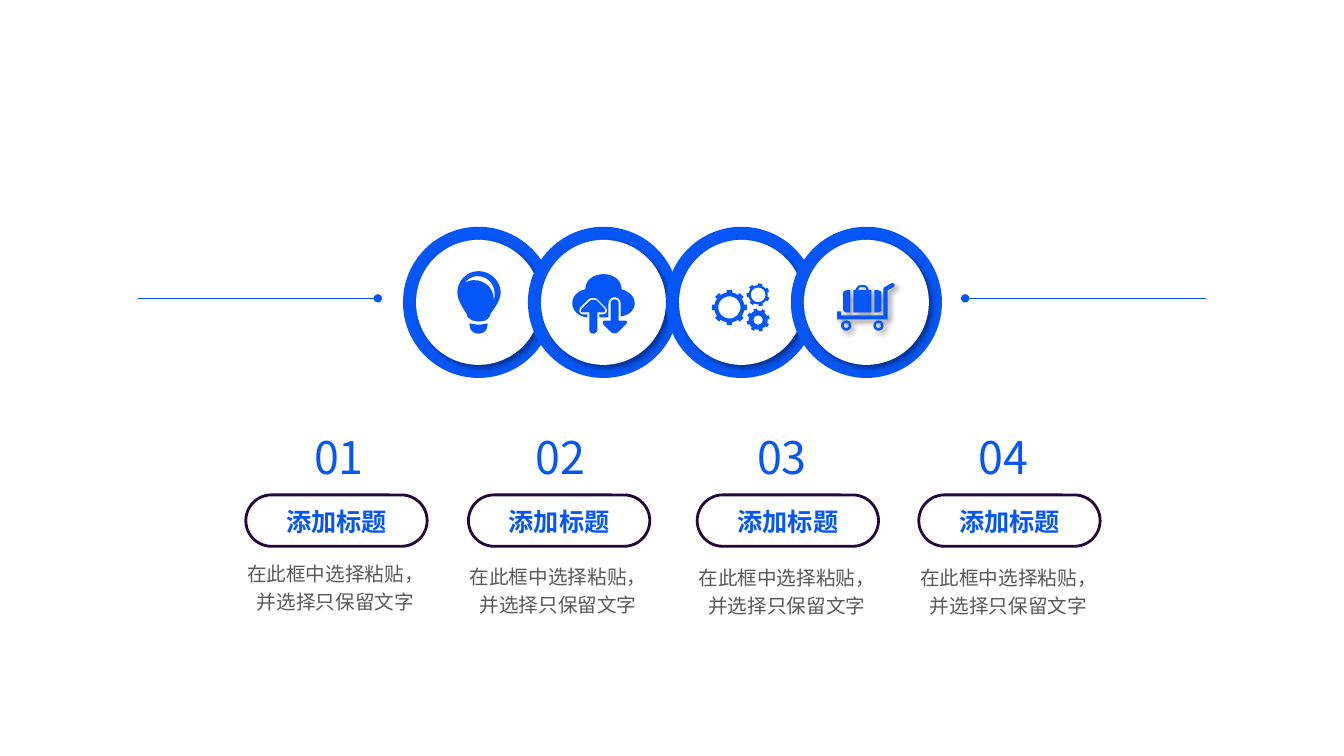
import math

import lxml.etree
import pptx
import pptx.dml.color
import pptx.enum.lang
import pptx.enum.shapes
import pptx.enum.text
import pptx.oxml.ns
import pptx.util

BLUE = pptx.dml.color.RGBColor(0x06, 0x56, 0xF7)
WHITE = pptx.dml.color.RGBColor(0xFF, 0xFF, 0xFF)
PURPLE = pptx.dml.color.RGBColor(0x20, 0x08, 0x38)
GRAY = pptx.dml.color.RGBColor(0x59, 0x59, 0x59)
FONT = "Noto Sans CJK SC"
CELL = pptx.util.Inches(0.1)
COLUMNS, ROWS = 133.4, 75
SHAPE = pptx.enum.shapes.MSO_SHAPE


def cells(count):
    return pptx.util.Emu(round(count * CELL))


def child(parent, tag, **attributes):
    return lxml.etree.SubElement(parent, pptx.oxml.ns.qn(tag), attributes)


def trace(*steps, samples=8):
    points = [steps[0]]
    for step in steps[1:]:
        if len(step) == 2:
            points.append(step)
            continue
        x0, y0 = points[-1]
        x1, y1, x2, y2, x3, y3 = step
        for index in range(1, samples + 1):
            t = index / samples
            a, b, c, d = (1 - t) ** 3, 3 * t * (1 - t) ** 2, 3 * t * t * (1 - t), t ** 3
            points.append((a * x0 + b * x1 + c * x2 + d * x3,
                           a * y0 + b * y1 + c * y2 + d * y3))
    return points


def polar(center, radius, degrees):
    angle = math.radians(degrees)
    return center[0] + radius * math.cos(angle), center[1] + radius * math.sin(angle)


def circle(center, radius):
    return [polar(center, radius, degrees) for degrees in range(0, 360, 10)]


def gear(center, outer, root, hole, teeth, phase):
    pitch = 360 / teeth
    profile = ((root, -0.24), (outer, -0.2), (outer, 0.2), (root, 0.24), (root, 0.5))
    rim = [polar(center, radius, phase + pitch * (tooth + shift))
           for tooth in range(teeth) for radius, shift in profile]
    return [rim, circle(center, hole)]


class Deck:
    def __init__(self):
        self.presentation = pptx.Presentation()
        self.presentation.slide_width = cells(COLUMNS)
        self.presentation.slide_height = cells(ROWS)
        self.slide = self.presentation.slides.add_slide(self.presentation.slide_layouts[6])

    def group(self):
        return self.slide.shapes.add_group_shape().shapes

    def paint(self, shape, color, shadow=False):
        shape.fill.solid()
        shape.fill.fore_color.rgb = color
        shape.line.fill.background()
        shape.shadow.inherit = False
        if shadow:
            effects = shape._element.spPr.find(pptx.oxml.ns.qn("a:effectLst"))
            outer = child(effects, "a:outerShdw", blurRad=str(pptx.util.Pt(4)),
                          dist=str(pptx.util.Pt(3)), dir="2700000", algn="tl", rotWithShape="0")
            child(child(outer, "a:srgbClr", val="000000"), "a:alpha", val="40000")

    def ring(self, left, top, size, border):
        members = self.group()
        for inset, color in ((0, BLUE), (border, WHITE)):
            side = cells(size - 2 * inset)
            disc = members.add_shape(SHAPE.OVAL, cells(left + inset), cells(top + inset), side, side)
            self.paint(disc, color, shadow=inset > 0)

    def outline(self, members, contours, shadow=False):
        builder = None
        for contour in contours:
            (x, y), *rest = [(cells(x), cells(y)) for x, y in contour]
            if builder is None:
                builder = members.build_freeform(x, y, scale=1.0)
            else:
                builder.move_to(x, y)
            builder.add_line_segments(rest, close=True)
        self.paint(builder.convert_to_shape(), BLUE, shadow)

    def icon(self, *pieces):
        members = self.group()
        for contours in pieces:
            self.outline(members, contours)

    def pointer(self, start, end, row):
        line = self.slide.shapes.add_connector(
            pptx.enum.shapes.MSO_CONNECTOR.STRAIGHT, cells(start), cells(row), cells(end), cells(row))
        line.line.color.rgb = BLUE
        line.line.width = pptx.util.Pt(0.75)
        child(line.line._get_or_add_ln(), "a:tailEnd", type="oval")
        child(line._element.spPr, "a:effectLst")

    def pill(self, left, top, width, height):
        frame = self.slide.shapes.add_shape(
            SHAPE.ROUNDED_RECTANGLE, cells(left), cells(top), cells(width), cells(height))
        frame.adjustments[0] = 0.5
        frame.fill.background()
        frame.line.color.rgb = PURPLE
        frame.line.width = pptx.util.Pt(2)
        frame.shadow.inherit = False

    def text(self, content, left, top, width, height, size, color,
             bold=False, wrap=True, inset=True, spacing=None):
        box = self.slide.shapes.add_textbox(cells(left), cells(top), cells(width), cells(height))
        frame = box.text_frame
        frame.text = content
        frame.word_wrap = wrap
        frame.auto_size = pptx.enum.text.MSO_AUTO_SIZE.SHAPE_TO_FIT_TEXT
        if not inset:
            frame.margin_left = frame.margin_right = frame.margin_top = frame.margin_bottom = 0
        paragraph = frame.paragraphs[0]
        paragraph.alignment = pptx.enum.text.PP_ALIGN.CENTER
        paragraph.line_spacing = spacing
        font = paragraph.runs[0].font
        font.name, font.size, font.bold = FONT, pptx.util.Pt(size), bold
        font.color.rgb = color
        font.language_id = pptx.enum.lang.MSO_LANGUAGE_ID.SIMPLIFIED_CHINESE
        child(font._element, "a:ea", typeface=FONT)


def bulb():
    base = trace((46.8, 32.1), (47.2, 32.25, 47.8, 32.25, 48.2, 32.1), (48.4, 32.1),
                 (48.4, 32.7, 48.1, 33.1, 47.5, 33.1), (46.9, 33.1, 46.6, 32.7, 46.6, 32.1))
    glass = trace((47.5, 26.9), (48.7, 26.9, 49.7, 27.9, 49.7, 29), (49.7, 30.1, 48.6, 31, 48.6, 31.4),
                  (48.6, 31.5, 48.4, 31.6, 48.2, 31.8), (48, 31.8, 47.8, 31.9, 47.5, 31.9),
                  (47.4, 31.9, 47.1, 31.8, 46.9, 31.8), (46.6, 31.6, 46.4, 31.5, 46.4, 31.4),
                  (46.4, 31, 45.4, 30.1, 45.4, 29), (45.4, 27.9, 46.3, 26.9, 47.5, 26.9))
    gleam = trace((47.1, 27.8), (48.1, 27.8, 49, 28.6, 49, 29.6), (49, 29.8),
                  (49.1, 29.6, 49.1, 29.3, 49.1, 29.1), (49.1, 28.2, 48.4, 27.4, 47.4, 27.4),
                  (46.9, 27.4, 46.4, 27.7, 46.1, 28.1), (46.4, 27.9, 46.7, 27.8, 47.1, 27.8))
    return [base], [glass, gleam]


def cloud():
    upload = trace((59.3, 31), (59.3, 32.7), (59.3, 32.9, 59.1, 33.1, 58.9, 33.1),
                   (58.6, 33.1, 58.5, 32.9, 58.5, 32.7), (58.5, 31), (57.9, 31),
                   (57.6, 31, 57.6, 30.8, 57.8, 30.6), (58.6, 29.8),
                   (58.8, 29.7, 58.9, 29.7, 59.2, 29.8), (60, 30.6), (60.1, 30.8, 60.1, 31, 59.8, 31))
    download = [(119.9 - x, 62.8 - y) for x, y in upload]
    body = trace((61.7, 28.7), (62.4, 28.9, 63, 29.4, 63, 30.1), (63, 30.8, 62.4, 31.3, 61.6, 31.4),
                 (61.6, 30.1), (61.6, 29.8, 61.4, 29.5, 61, 29.5), (60.6, 29.5, 60.4, 29.8, 60.4, 30.1),
                 (60.4, 31.5), (59.5, 31.5), (59.5, 31.2), (59.8, 31.2),
                 (60.2, 31.2, 60.4, 30.8, 60.1, 30.5), (59.3, 29.7),
                 (59.1, 29.5, 58.7, 29.5, 58.4, 29.7), (57.6, 30.5),
                 (57.4, 30.8, 57.5, 31.2, 57.9, 31.2), (58.3, 31.2), (58.3, 31.5),
                 (57.4, 31.4, 56.8, 30.8, 56.8, 30.1), (56.8, 29.4, 57.3, 28.9, 58.1, 28.7),
                 (58.1, 27.8, 58.9, 27.2, 59.9, 27.2), (60.9, 27.2, 61.7, 27.8, 61.7, 28.7))
    return [upload], [body], [download]


def luggage():
    side = trace((83.7, 30.7), (83.7, 29.1), (83.7, 28.9, 83.9, 28.8, 84.1, 28.8), (84.4, 28.8),
                 (84.4, 31), (84.1, 31), (83.9, 31, 83.7, 30.9, 83.7, 30.7))
    middle = trace((86.2, 28.8), (86.2, 28.5, 86, 28.3, 85.8, 28.3), (85.4, 28.3),
                   (85.2, 28.3, 85, 28.5, 84.9, 28.8), (84.7, 28.8), (84.7, 31), (86.5, 31), (86.5, 28.8))
    handle = trace((85.2, 28.8), (85.2, 28.5, 85.4, 28.5, 85.4, 28.5), (85.8, 28.5),
                   (85.9, 28.5, 86, 28.6, 86, 28.8))
    trolley = trace((88.7, 28.5), (88.1, 28.8), (88.1, 31.7), (83.1, 31.7), (83.1, 30.9), (83.5, 30.9),
                    (83.5, 31.3), (87.7, 31.3), (87.7, 28.7), (87.7, 28.6, 87.7, 28.5, 87.8, 28.5),
                    (88.5, 28.1), (88.6, 28.1, 88.7, 28.1, 88.8, 28.2), (88.8, 28.3, 88.8, 28.4, 88.7, 28.5))
    wheels = [circle((x, 32.3), radius) for x in (84, 87.2) for radius in (0.5, 0.25)]
    return [side, [(171.2 - x, y) for x, y in side], middle, handle, trolley, *wheels]


def main():
    deck = Deck()
    for left in (40, 52.4, 66.1, 78.5):
        deck.ring(left, 22.5, 15, 1.3)
    for start, end in ((13.7, 37.5), (119.7, 95.8)):
        deck.pointer(start, end, 29.6)
    deck.icon(*bulb())
    deck.icon(*cloud())
    deck.icon(gear((72.4, 30.5), 1.75, 1.5, 1.1, 8, 0),
              gear((75.25, 31.75), 1.15, 0.95, 0.45, 8, -15),
              gear((75.25, 29.25), 1.15, 0.95, 0.72, 7, 24))
    deck.outline(deck.slide.shapes, luggage(), shadow=True)

    steps = ((24.4, 54.8), (46.5, 55.1), (69.2, 55.2), (91.2, 55.2))
    for index, (left, caption_top) in enumerate(steps):
        deck.text(f"{index + 1:02}", 30 + 21.98 * index, 42.1, 7.3, 6.4, 32, BLUE, wrap=False)
        deck.text("添加标题", left + 2.3, 50.2, 13.4, 3, 18, BLUE, bold=True, inset=False)
        deck.pill(left, 49.1, 18, 5.1)
        deck.text("在此框中选择粘贴，并选择只保留文字", left - 1.05, caption_top, 19.9, 6.5,
                  14, GRAY, spacing=1.2)
    deck.presentation.save("out.pptx")


if __name__ == "__main__":
    main()
